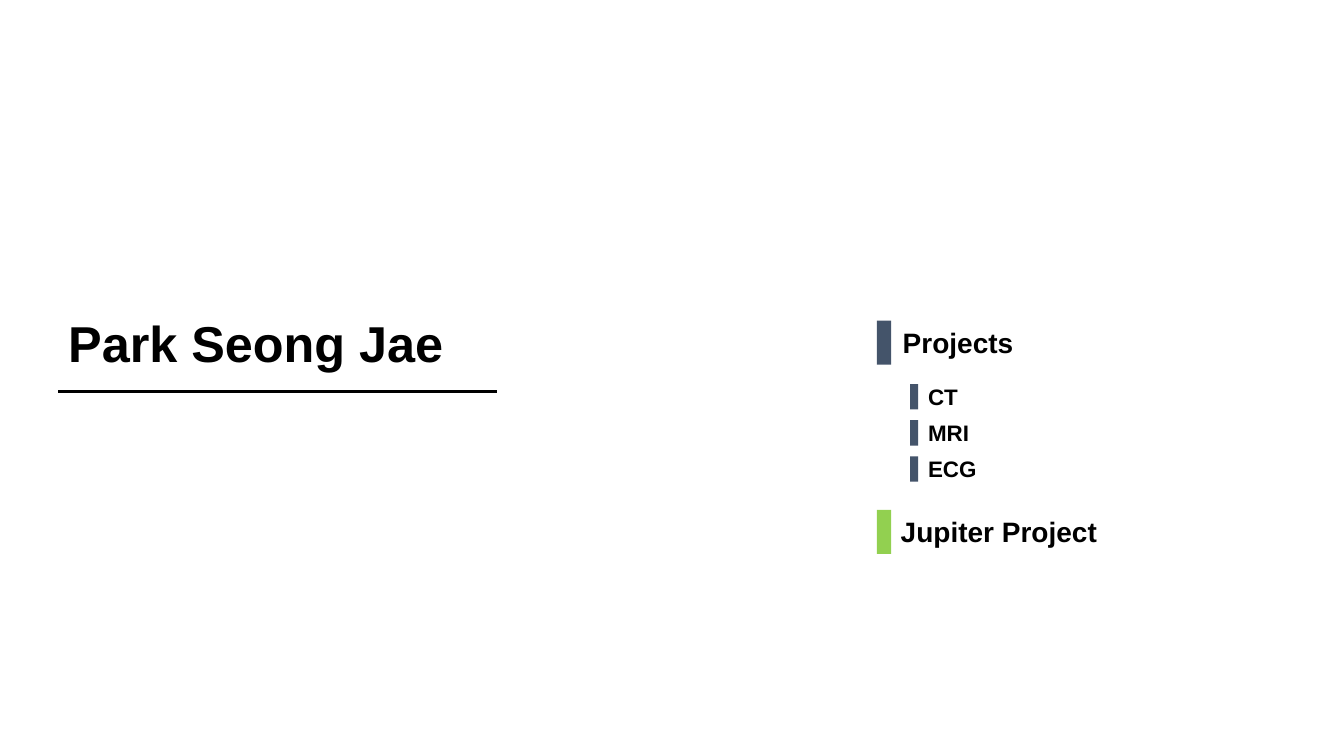
import pptx
import pptx.dml.color
import pptx.enum.shapes
import pptx.enum.text
import pptx.oxml
import pptx.util
from pptx.util import Cm

BLACK = "000000"
SLATE = "44546A"
GREEN = "92D050"


def color(hex_code):
    """Return the RGB colour for a hex string."""
    return pptx.dml.color.RGBColor.from_string(hex_code)


def add_label(slide, words, left, top, width, height, size):
    """Add a bold black text box and return its text frame."""
    label = slide.shapes.add_textbox(Cm(left), Cm(top), Cm(width), Cm(height)).text_frame
    label.word_wrap = True
    label.text = words
    font = label.paragraphs[0].runs[0].font
    font.name = "Arial"
    font.size = pptx.util.Pt(size)
    font.bold = True
    font.color.rgb = color(BLACK)
    return label


def add_bar(slide, left, top, width, height, fill):
    """Add a plain filled marker bar."""
    bar = slide.shapes.add_shape(
        pptx.enum.shapes.MSO_SHAPE.RECTANGLE, Cm(left), Cm(top), Cm(width), Cm(height))
    bar.shadow.inherit = False
    bar.fill.solid()
    bar.fill.fore_color.rgb = color(fill)
    bar.line.fill.background()


def add_name(slide, name):
    """Add the presenter's name with the rule below it."""
    left, width, rule_top = 1.47, 11.05, 9.86
    heading = add_label(slide, name, left, 7.52, width, 2.01, 36)
    heading.vertical_anchor = pptx.enum.text.MSO_ANCHOR.BOTTOM
    heading.paragraphs[0].line_spacing = 0.9
    heading.paragraphs[0].space_after = pptx.util.Pt(6)
    rule = slide.shapes.add_connector(
        pptx.enum.shapes.MSO_CONNECTOR.STRAIGHT,
        Cm(left), Cm(rule_top), Cm(left + width), Cm(rule_top))
    rule.line.color.rgb = color(BLACK)
    rule.line.width = pptx.util.Pt(2)
    rule._element.spPr.append(pptx.oxml.parse_xml(
        '<a:effectLst xmlns:a="http://schemas.openxmlformats.org/drawingml/2006/main"/>'))


def add_section(slide, title, left, top, fill):
    """Add a section title beside its marker bar."""
    add_label(slide, title, left, top, 7.65, 1.11, 20)
    add_bar(slide, 22.1, top, 0.36, 1.11, fill)


def add_topic(slide, topic, top):
    """Add an indented topic beside its small marker bar."""
    add_label(slide, topic, 23.14, top, 2.03, 0.94, 16)
    add_bar(slide, 22.94, top + 0.15, 0.2, 0.64, SLATE)


def main():
    """Build and save the slide."""
    deck = pptx.Presentation()
    deck.slide_width, deck.slide_height = Cm(33.87), Cm(19.05)
    slide = deck.slides.add_slide(deck.slide_layouts[6])
    add_name(slide, "Park Seong Jae")
    add_section(slide, "Projects", 22.5, 8.08, SLATE)
    for row, topic in enumerate(("CT", "MRI", "ECG")):
        add_topic(slide, topic, 9.53 + 0.91 * row)
    add_section(slide, "Jupiter Project", 22.45, 12.85, GREEN)
    deck.save("out.pptx")


if __name__ == "__main__":
    main()
